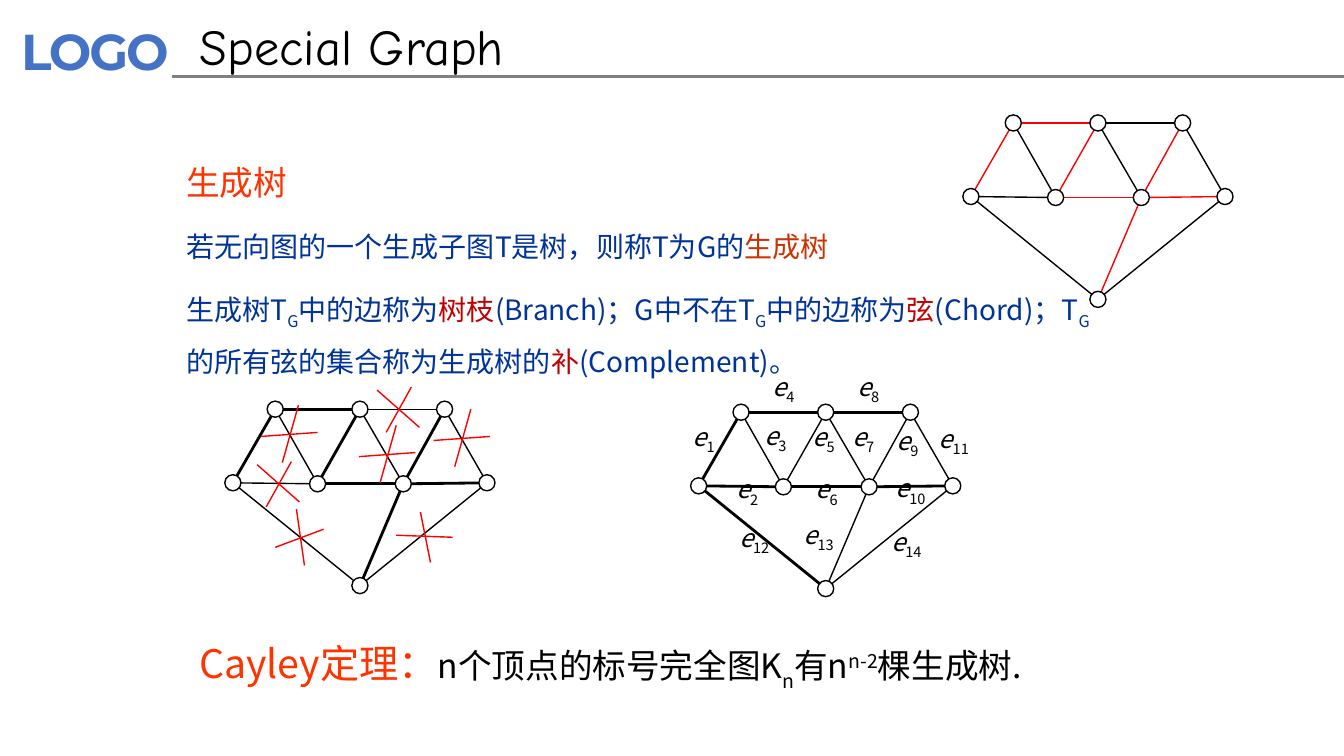
"""Build the slide on spanning trees, with three views of one graph."""
from math import hypot
from lxml.etree import SubElement
from pptx import Presentation
from pptx.dml.color import RGBColor as RGB
from pptx.enum.shapes import MSO_CONNECTOR as LINE, MSO_SHAPE as SHAPE
from pptx.enum.text import PP_ALIGN as ALIGN
from pptx.oxml.ns import qn
from pptx.util import Inches, Pt

BLACK, WHITE = RGB(0, 0, 0), RGB(255, 255, 255)
GRAY, RED = RGB(0x80, 0x80, 0x80), RGB(255, 0, 0)
BLUE, NAVY = RGB(0x44, 0x72, 0xC4), RGB(0, 0x33, 0x99)
CORAL, RUST, WINE = RGB(0xFF, 0x33, 0), RGB(0xCC, 0x33, 0), RGB(0xC0, 0, 0)
SANS = "Noto Sans CJK SC"

BODY = [
    [("生成树", CORAL, 24, 0)],
    [("若无向图的一个生成子图T是树，则称T为G的", NAVY, 20, 0),
     ("生成树", RUST, 20, 0)],
    [("生成树T", NAVY, 20, 0), ("G", NAVY, 20, -25),
     ("中的边称为", NAVY, 20, 0), ("树枝", WINE, 20, 0),
     ("(Branch)；G中不在T", NAVY, 20, 0), ("G", NAVY, 20, -25),
     ("中的边称为", NAVY, 20, 0), ("弦", WINE, 20, 0),
     ("(Chord)；T", NAVY, 20, 0), ("G", NAVY, 20, -25),
     ("的所有弦的集合称为生成树的", NAVY, 20, 0), ("补", WINE, 20, 0),
     ("(Complement)。", NAVY, 20, 0)],
]
CAYLEY = [[("Cayley定理：", CORAL, 28, 0), ("n个顶点的标号完全图K", BLACK, 24, 0),
           ("n", BLACK, 24, -30), ("有n", BLACK, 24, 0),
           ("n-2", BLACK, 24, 30), ("棵生成树.", BLACK, 24, 0)]]

RADIUS = 0.08
NODES = {"a": (0, 0), "b": (0.84, 0), "c": (1.68, 0), "d": (-0.42, 0.73),
         "e": (0.42, 0.74), "f": (1.27, 0.74), "g": (2.1, 0.73), "h": (0.84, 1.75)}
EDGES = "ab bc ad ae be bf cf cg de ef fg dh fh gh".split()
TREE = "ab ad be cf ef fg fh".split()
PATH = "ab bc ad de ef fg dh".split()
GRAPHS = [
    ((10.05, 1.22), TREE, RED, 1),
    ((2.73, 4.06), TREE, BLACK, 2),
    ((7.35, 4.09), PATH, BLACK, 2),
]

STEEP = [(0.37, 0, 0.21, 0.57), (0.56, 0.27, 0, 0.31)]
SLANT = [(0, 0.03, 0.42, 0.4), (0.34, 0, 0.09, 0.45)]
LEFT = [(0.21, 0, 0.29, 0.56), (0.48, 0.2, 0, 0.38)]
RIGHT = [(0, 0.23, 0.56, 0.25), (0.24, 0, 0.34, 0.5)]
CROSSES = [(2.73, 5.05, LEFT), (2.59, 4.02, STEEP), (3.56, 4.22, STEEP),
           (4.3, 4.06, STEEP), (3.93, 5.08, RIGHT), (2.55, 4.58, SLANT),
           (3.74, 3.84, SLANT)]

LABELS = [(6.77, 4.18), (7.2, 4.7), (7.48, 4.17), (7.56, 3.68), (7.96, 4.18),
          (7.99, 4.7), (8.35, 4.18), (8.4, 3.68), (8.79, 4.22), (8.82, 4.69),
          (9.25, 4.2), (7.27, 5.18), (7.91, 5.15), (8.78, 5.22)]


def write(host, box, paras, face=SANS, bold=False, slant=(), inset=(0.1, 0.05),
          space=1, before=0, hang=(), align=ALIGN.LEFT, track=0):
    """Add a text box; each run is (text, colour, size, baseline percent)."""
    frame = host.add_textbox(*map(Inches, box)).text_frame
    frame.word_wrap = True
    frame.margin_left = frame.margin_right = Inches(inset[0])
    frame.margin_top = frame.margin_bottom = Inches(inset[1])
    for i, runs in enumerate(paras):
        para = frame.paragraphs[0] if i == 0 else frame.add_paragraph()
        para.line_spacing, para.space_before = space, Pt(before)
        para.alignment = align
        if i in hang:
            props = para._p.get_or_add_pPr()
            props.set("marL", str(Inches(0.25)))
            props.set("indent", str(-Inches(0.25)))
        for j, (words, color, size, base) in enumerate(runs):
            run = para.add_run()
            run.text = words
            font = run.font
            font.name, font.size, font.bold = face, Pt(size), bold
            font.italic = j in slant
            font.color.rgb = color
            props = font._element
            SubElement(props, qn("a:ea")).set("typeface", face)
            if base:
                props.set("baseline", str(base * 1000))
            if track:
                props.set("spc", str(track))


def draw(host, x1, y1, x2, y2, color, width=1):
    """Add a straight line."""
    line = host.add_connector(LINE.STRAIGHT, *map(Inches, (x1, y1, x2, y2)))
    line.line.color.rgb, line.line.width = color, Pt(width)
    SubElement(line._element.spPr, qn("a:effectLst"))


def graph(host, origin, marked, color, width):
    """Add the graph with the marked edges set apart."""
    spots = {k: (origin[0] + x, origin[1] + y) for k, (x, y) in NODES.items()}
    for edge in EDGES:
        (x1, y1), (x2, y2) = (spots[k] for k in edge)
        part = RADIUS / hypot(x2 - x1, y2 - y1)
        dx, dy = (x2 - x1) * part, (y2 - y1) * part
        style = (color, width) if edge in marked else (BLACK, 1)
        draw(host, x1 + dx, y1 + dy, x2 - dx, y2 - dy, *style)
    for x, y in spots.values():
        box = (x - RADIUS, y - RADIUS, 2 * RADIUS, 2 * RADIUS)
        node = host.add_shape(SHAPE.OVAL, *map(Inches, box))
        node.shadow.inherit = False
        node.fill.solid()
        node.fill.fore_color.rgb = WHITE
        node.line.color.rgb, node.line.width = BLACK, Pt(1)


def main():
    """Lay out the slide and save it."""
    deck = Presentation()
    deck.slide_width, deck.slide_height = Inches(13.33), Inches(7.5)
    shapes = deck.slides.add_slide(deck.slide_layouts[6]).shapes
    write(shapes, (0.08, 0.13, 1.86, 0.74), [[("LOGO", BLUE, 36, 0)]],
          face="Montserrat", bold=True, inset=(0.13, 0.07), track=-150)
    draw(shapes, 1.71, 0.76, 13.33, 0.76, GRAY, 2)
    write(shapes, (1.88, 0.1, 8.62, 0.71), [[("Special Graph", BLACK, 36, 0)]],
          face="Comic Neue")
    write(shapes, (1.75, 1.4, 9.25, 2.53), BODY, space=1.4, before=10, hang=(0, 1))
    hosts = [shapes.add_group_shape().shapes for _ in GRAPHS]
    for host, view in zip(hosts, GRAPHS):
        graph(host, *view)
    for x, y, strokes in CROSSES:
        for x1, y1, x2, y2 in strokes:
            draw(hosts[1], x + x1, y + y1, x + x2, y + y2, RED)
    for n, (x, y) in enumerate(LABELS, 1):
        write(hosts[2], (x, y, 0.42, 0.4),
              [[("e", BLACK, 18, 0), (str(n), BLACK, 18, -25)]],
              slant=(0,), inset=(0, 0), align=ALIGN.CENTER)
    write(shapes, (1.88, 6.24, 8.99, 0.79), CAYLEY, space=1.1, before=10, hang=(0,))
    deck.save("out.pptx")


if __name__ == "__main__":
    main()
